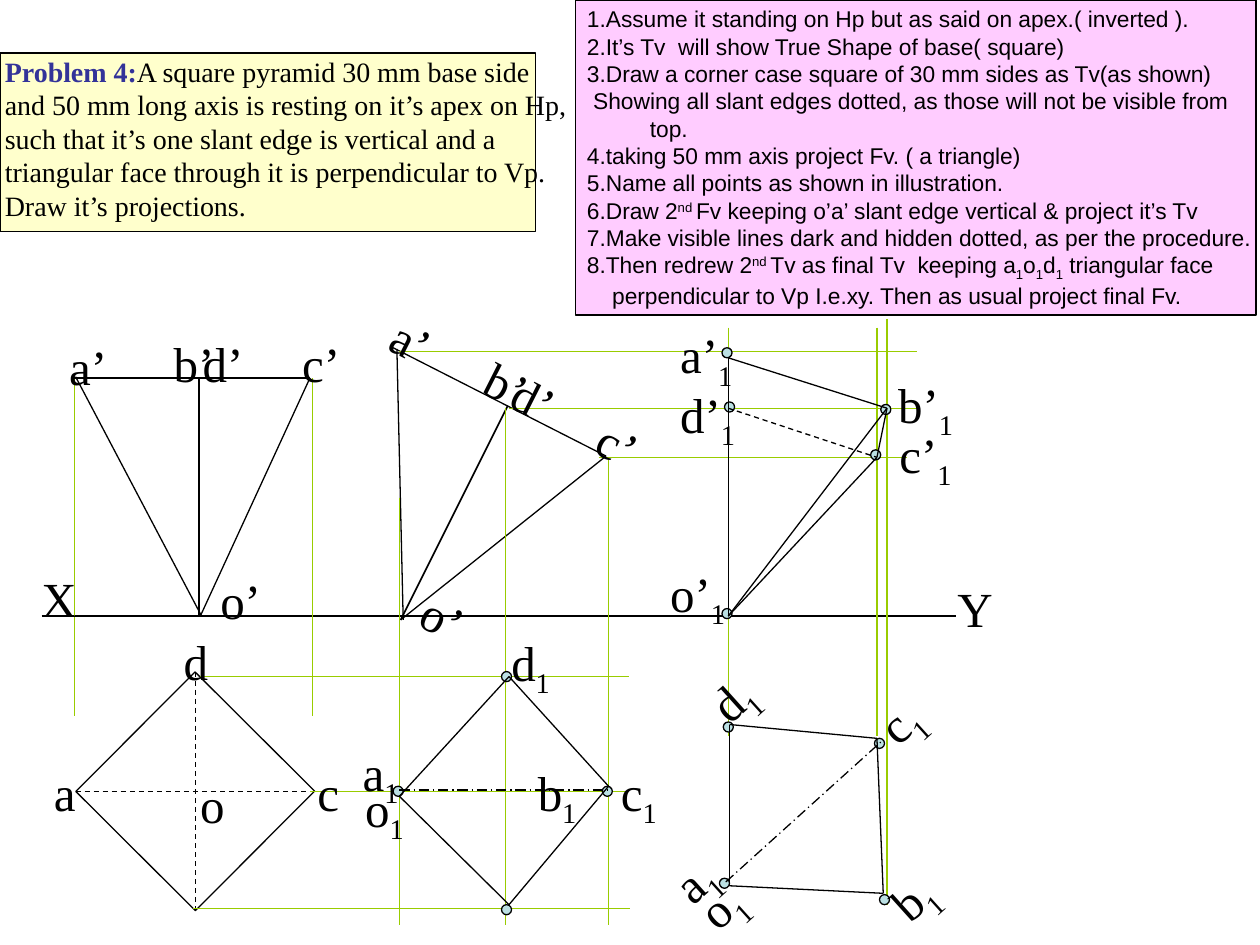
from itertools import pairwise
from typing import NamedTuple, Optional

from lxml.etree import SubElement
from pptx import Presentation
from pptx.dml.color import RGBColor
from pptx.enum.dml import MSO_LINE_DASH_STYLE as Dash
from pptx.enum.shapes import MSO_CONNECTOR as Connector, MSO_SHAPE as Shape
from pptx.oxml.ns import qn
from pptx.util import Inches, Pt

BLACK = RGBColor(0x00, 0x00, 0x00)
WHITE = RGBColor(0xFF, 0xFF, 0xFF)
GREEN = RGBColor(0x99, 0xCC, 0x00)
PALE_BLUE = RGBColor(0xBB, 0xE0, 0xE3)
INDIGO = RGBColor(0x33, 0x33, 0x99)
CREAM = RGBColor(0xFF, 0xFF, 0xCC)
PINK = RGBColor(0xFF, 0xCC, 0xFF)
SERIF, SANS = "Times New Roman", "Arial"

# The grid has 100 columns and 75 rows of square cells
SLIDE_WIDTH, SLIDE_HEIGHT = Inches(10), Inches(7.5)
CELL = SLIDE_WIDTH / 100
THIN, MEDIUM = 0.75, 1
SUB, SUPER = -25000, 30000
DOT = 0.8
TILT_FRONT, TILT_TOP = 26.8, 317.9
Point = tuple[float, float]
Frame = tuple[float, float, float, float]


class Label(NamedTuple):
    name: str
    col: float
    row: float
    sub: str = ""
    tilt: float = 0


class Stroke(NamedTuple):
    points: list[Point]
    color: RGBColor = BLACK
    dash: Optional[Dash] = None
    width: float = THIN


class Span(NamedTuple):
    text: str
    shift: int = 0
    color: RGBColor = BLACK
    bold: bool = False


class Line(NamedTuple):
    spans: list[Span]
    hang: float = 0


def cells(*counts: float) -> list[int]:
    return [round(count * CELL) for count in counts]


def draw_stroke(page, stroke: Stroke) -> None:
    for start, end in pairwise(stroke.points):
        line = page.shapes.add_connector(Connector.STRAIGHT, *cells(*start, *end))
        line.line.color.rgb = stroke.color
        line.line.width = Pt(stroke.width)
        if stroke.dash:
            line.line.dash_style = stroke.dash
        SubElement(line._element.spPr, qn("a:effectLst"))


def draw_shape(page, kind: Shape, frame: Frame, fill: RGBColor):
    shape = page.shapes.add_shape(kind, *cells(*frame))
    shape.shadow.inherit = False
    shape.fill.solid()
    shape.fill.fore_color.rgb = fill
    shape.line.color.rgb = BLACK
    shape.line.width = Pt(THIN)
    return shape


def draw_dot(page, col: float, row: float) -> None:
    draw_shape(page, Shape.OVAL, (col, row, DOT, DOT), PALE_BLUE)


def add_span(para, span: Span) -> None:
    run = para.add_run()
    run.text = span.text
    run.font.color.rgb = span.color
    run.font.bold = span.bold
    if span.shift:
        run.font._element.set("baseline", str(span.shift))


def draw_label(page, label: Label) -> None:
    letter = 4.9 if label.name in "XY" else 3.8 if label.name[0] in "ac" else 4
    width = letter + 1.3 * (len(label.name) - 1 + len(label.sub))
    box = page.shapes.add_textbox(*cells(label.col, label.row, width, 5.7))
    box.rotation = label.tilt
    box.text_frame.word_wrap = False
    para = box.text_frame.paragraphs[0]
    para.font.name, para.font.size = SERIF, Pt(28)
    add_span(para, Span(label.name))
    if label.sub:
        add_span(para, Span(label.sub, SUB))


def draw_note(page, panel: Frame, fill: RGBColor, frame: Frame,
              lines: list[Line], font: str, size: float) -> None:
    draw_shape(page, Shape.RECTANGLE, panel, fill)
    box = page.shapes.add_textbox(*cells(*frame))
    box.text_frame.word_wrap = True
    for index, line in enumerate(lines):
        para = box.text_frame.add_paragraph() if index else box.text_frame.paragraphs[0]
        para.font.name, para.font.size = font, Pt(size)
        if line.hang:
            properties = para._p.get_or_add_pPr()
            properties.set("marL", str(Inches(0.5)))
            properties.set("indent", str(-Inches(line.hang)))
        for span in line.spans:
            add_span(para, span)


STROKES = [
    # Ground line and first views
    Stroke([(3.3, 48.9), (75.9, 48.9)]),
    *(Stroke([(col, 56.8), (col, 30)], GREEN) for col in (5.9, 24.8)),
    Stroke([(15.5, 53.3), (15.5, 72.3)], dash=Dash.DASH),
    Stroke([(6, 62.8), (25, 62.8)], dash=Dash.DASH),
    Stroke([(5.6, 30), (24.6, 30), (15.9, 48.9)]),
    Stroke([(6, 29.9), (16, 48.9)]),
    Stroke([(15.8, 30), (15.8, 48.9)], width=MEDIUM),
    # Second front view
    Stroke([(31.2, 27.6), (48.1, 36.2), (31.8, 49.2)]),
    Stroke([(31.5, 27.7), (32, 49.2)]),
    Stroke([(40.3, 32.2), (31.8, 49.2)], width=MEDIUM),
    # Projectors
    *(Stroke([(col, top), (col, 73.4)], GREEN)
      for col, top in ((48.3, 36.3), (40.1, 32.4), (31.7, 39.5))),
    *(Stroke([(left, row), (right, row)], GREEN)
      for left, right, row in ((15.9, 49.9, 53.7), (24.6, 49.9, 62.8), (15.3, 50, 72.1),
                               (31.7, 72.8, 27.9), (40.4, 72.8, 32.4), (47.5, 72, 36.3))),
    *(Stroke([(col, top), (col, bottom)], GREEN)
      for col, top, bottom in ((57.8, 26, 58.4), (69.6, 26, 58.4), (70.4, 25.3, 71.8))),
]

OUTLINES = [
    # Second top view
    Stroke([(31.7, 63.2), (40.4, 53.7), (48.3, 62.4), (40.4, 71.8), (31.7, 63.2)]),
    Stroke([(31.7, 62.7), (48.3, 62.7)], dash=Dash.LONG_DASH_DOT),
    # Final top view
    Stroke([(57.9, 70.3), (57.9, 57.5), (69.6, 58.6), (70.1, 70.9), (57.9, 70.3)]),
    Stroke([(57.6, 70), (69.9, 58.9)], dash=Dash.LONG_DASH_DOT),
    # Final front view
    Stroke([(57.8, 48.9), (57.8, 28.4), (70.4, 32.4), (69.6, 36.3), (57.8, 48.9)]),
    Stroke([(70.4, 32.4), (57.8, 48.9)]),
    Stroke([(57.8, 32.4), (69.6, 36.3)], dash=Dash.DASH),
]

DOTS = [
    (39.8, 53.3), (31.2, 62.4), (39.8, 71.8), (47.8, 62.4),
    (57.4, 57.3), (57.1, 69.7), (69.8, 71), (69.4, 58.6),
    (57.3, 48.3), (57.3, 27.6), (69.9, 32.1), (57.5, 31.9), (69.1, 35.7),
]

LABELS = [
    Label("X", 2.3, 44.6), Label("Y", 75, 45.4),
    # First views
    Label("a", 3.3, 60), Label("d", 13.6, 49.6), Label("c", 24.2, 60), Label("o", 14.9, 61),
    Label("d’", 15.1, 26), Label("c’", 23, 26), Label("b’", 12.8, 26),
    Label("a’", 4.5, 26.2), Label("o’", 16.5, 44.8),
    # Second views
    *(Label(name, col, row, tilt=TILT_FRONT)
      for name, col, row in (("d’", 39.8, 28.8), ("c’", 46.6, 32.4), ("b’", 37.7, 27.7),
                             ("a’", 30.2, 24.2), ("o’", 32.6, 46.2))),
    Label("b", 41.7, 60, "1"), Label("c", 48.3, 60, "1"), Label("a", 27.8, 58.4, "1"),
    Label("d", 39.6, 49.7, "1"), Label("o", 28, 61.3, "1"),
    # Final views
    *(Label(name, col, row, "1", TILT_TOP)
      for name, col, row in (("c", 68.9, 54.3), ("b", 69.8, 68.3), ("a", 52.6, 66.9),
                             ("d", 55.5, 52.5), ("o", 54.6, 68.9))),
    Label("o’", 52.2, 44.2, "1"), Label("a’", 53, 25.3, "1"), Label("b’", 70.3, 29.2, "1"),
    Label("c’", 70.4, 33.2, "1"), Label("d’", 53, 30, "1"),
]

PROBLEM = [
    Line([Span("Problem 4:", color=INDIGO, bold=True), Span("A square pyramid 30 mm base side")]),
    Line([Span("and 50 mm long axis is resting on it’s apex on Hp,")]),
    Line([Span("such that it’s one slant edge is vertical and a")]),
    Line([Span("triangular face through it is perpendicular to Vp.")]),
    Line([Span("Draw it’s projections.")]),
]

STEPS = [
    Line([Span("1.Assume it standing on Hp but as said on apex.( inverted ).")], 0.5),
    Line([Span("2.It’s Tv  will show True Shape of base( square)")], 0.5),
    Line([Span("3.Draw a corner case square of 30 mm sides as Tv(as shown)")], 0.5),
    Line([Span("Showing all slant edges dotted, as those will not be visible from top.")], 0.45),
    Line([Span("4.taking 50 mm axis project Fv. ( a triangle)")], 0.5),
    Line([Span("5.Name all points as shown in illustration.")], 0.5),
    Line([Span("6.Draw 2"), Span("nd ", SUPER),
          Span("Fv keeping o’a’ slant edge vertical & project it’s Tv")], 0.5),
    Line([Span("7.Make visible lines dark and hidden dotted, as per the procedure.")], 0.5),
    Line([Span("8.Then redrew 2"), Span("nd ", SUPER), Span("Tv as final Tv  keeping a"),
          Span("1", SUB), Span("o"), Span("1", SUB), Span("d"), Span("1", SUB),
          Span(" triangular face")], 0.5),
    Line([Span("perpendicular to Vp I.e.xy. Then as usual project final Fv.")], 0.3),
]


def main() -> None:
    deck = Presentation()
    deck.slide_width, deck.slide_height = SLIDE_WIDTH, SLIDE_HEIGHT
    page = deck.slides.add_slide(deck.slide_layouts[6])

    # Base square, turned to a corner case
    draw_shape(page, Shape.RECTANGLE, (8.8, 56.1, 13.4, 13.4), WHITE).rotation = 314.9
    for stroke in STROKES:
        draw_stroke(page, stroke)
    for col, row in DOTS:
        draw_dot(page, col, row)
    for stroke in OUTLINES:
        draw_stroke(page, stroke)
    for label in LABELS:
        draw_label(page, label)

    # Problem statement and solution steps
    draw_note(page, (0, 4.2, 42.5, 14.2), CREAM, (-0.6, 3.8, 48.1, 14.5), PROBLEM, SERIF, 16)
    draw_note(page, (45.7, 0, 54, 25), PINK, (45.6, -0.1, 56.1, 25.1), STEPS, SANS, 13)
    deck.save("out.pptx")


if __name__ == "__main__":
    main()
